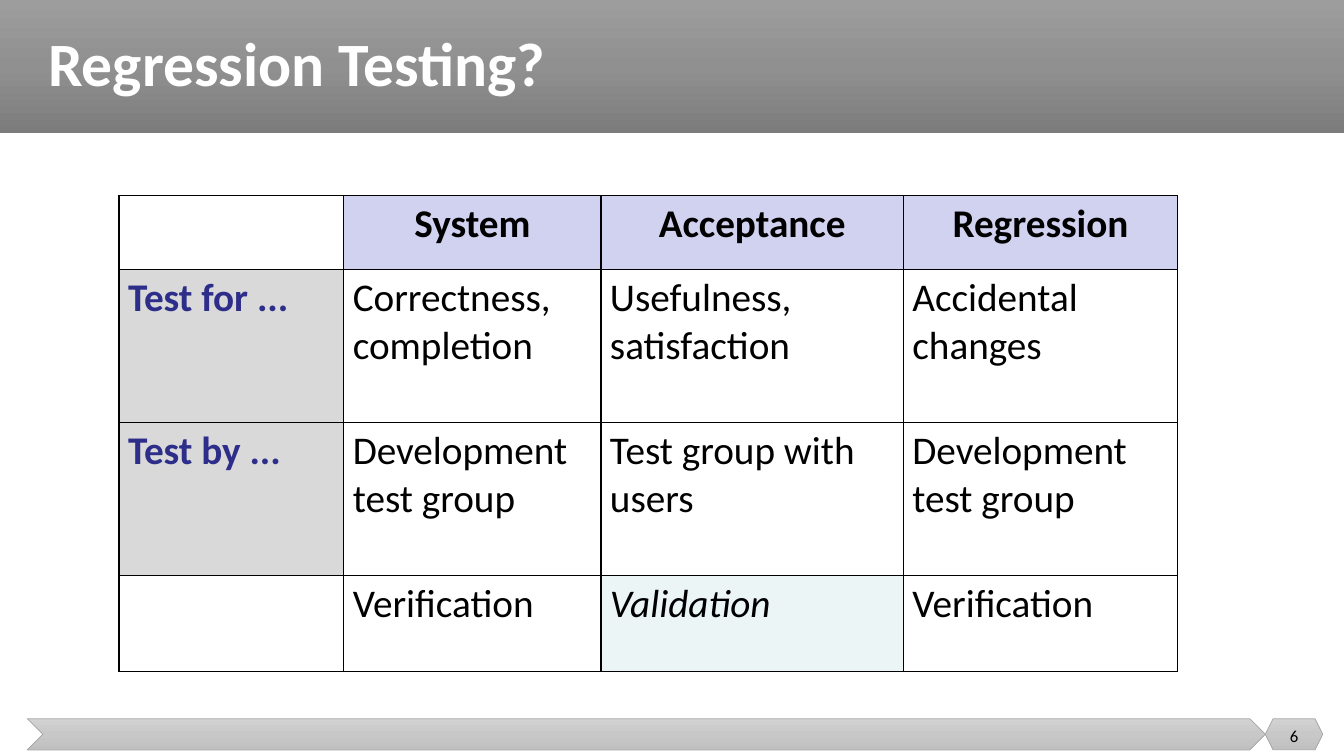
from lxml.etree import SubElement
from pptx import Presentation
from pptx.dml.color import RGBColor
from pptx.enum.shapes import MSO_SHAPE
from pptx.enum.text import MSO_ANCHOR, PP_ALIGN
from pptx.oxml.ns import qn
from pptx.util import Inches, Pt

COLORS = {
    "black": "000000",
    "white": "FFFFFF",
    "outline": "A5A5A5",
    "column_head": "D1D1F0",
    "row_head": "D9D9D9",
    "row_text": "2D2D8A",
    "validation": "DAEDEF",
}
HEADER_GRADIENT = ("9D9D9D", "909090", "7C7C7C")
FOOTER_GRADIENT = ("D2D2D2", "C8C8C8", "C0C0C0")

COLUMN_WIDTHS = (2.23, 2.55, 3, 2.72)
ROW_HEIGHTS = (0.73, 1.52, 1.52, 0.95)
ROWS = (
    ("", "System", "Acceptance", "Regression"),
    ("Test for ...", "Correctness, completion", "Usefulness, satisfaction", "Accidental changes"),
    ("Test by ...", "Development test group", "Test group with users", "Development test group"),
    ("", "Verification", "Validation", "Verification"),
)


class SlideBuilder:
    font_name = "Calibri"

    def __init__(self, slide):
        self.slide = slide

    def styled_run(self, paragraph, text, size, color="black", bold=False, italic=False):
        run = paragraph.add_run()
        run.text = text
        run.font.name = self.font_name
        run.font.size = Pt(size)
        run.font.bold = bold
        run.font.italic = italic
        run.font.color.rgb = RGBColor.from_string(COLORS[color])

    def gradient_shape(self, kind, left, top, width, height, gradient, outlined=True):
        shape = self.slide.shapes.add_shape(
            kind, Inches(left), Inches(top), Inches(width), Inches(height))
        shape.shadow.inherit = False
        shape.fill.gradient()
        shape.fill.gradient_angle = 270
        stops = shape.element.spPr.find(qn("a:gradFill")).find(qn("a:gsLst"))
        for stop in list(stops):
            stops.remove(stop)
        for index, color in enumerate(gradient):
            stop = SubElement(stops, qn("a:gs"), pos=str(index * 50000))
            SubElement(stop, qn("a:srgbClr"), val=color)
        if outlined:
            shape.line.color.rgb = RGBColor.from_string(COLORS["outline"])
            shape.line.width = Pt(0.5)
        else:
            shape.line.fill.background()

    def text_box(self, text, left, top, width, height, size, align=PP_ALIGN.LEFT,
                 line_spacing=1.0, **style):
        box = self.slide.shapes.add_textbox(
            Inches(left), Inches(top), Inches(width), Inches(height))
        frame = box.text_frame
        frame.word_wrap = True
        frame.vertical_anchor = MSO_ANCHOR.MIDDLE
        paragraph = frame.paragraphs[0]
        paragraph.alignment = align
        paragraph.line_spacing = line_spacing
        self.styled_run(paragraph, text, size, **style)

    def cell_borders(self, cell):
        properties = cell._tc.get_or_add_tcPr()
        for index, side in enumerate(("a:lnL", "a:lnR", "a:lnT", "a:lnB")):
            line = properties.makeelement(qn(side), {"w": str(Pt(1))})
            fill = SubElement(line, qn("a:solidFill"))
            SubElement(fill, qn("a:srgbClr"), val=COLORS["black"])
            properties.insert(index, line)

    def cell_fill(self, cell, color, alpha=None):
        if color is None:
            cell.fill.background()
            return
        cell.fill.solid()
        cell.fill.fore_color.rgb = RGBColor.from_string(COLORS[color])
        if alpha:
            color_element = next(cell._tc.tcPr.iter(qn("a:srgbClr")))
            SubElement(color_element, qn("a:alpha"), val=str(alpha * 1000))

    def comparison_table(self, left, top):
        table = self.slide.shapes.add_table(
            len(ROWS), len(COLUMN_WIDTHS), Inches(left), Inches(top),
            Inches(sum(COLUMN_WIDTHS)), Inches(sum(ROW_HEIGHTS))).table
        table.first_row = False
        table.horz_banding = False
        for column, width in zip(table.columns, COLUMN_WIDTHS):
            column.width = Inches(width)
        for row, height in zip(table.rows, ROW_HEIGHTS):
            row.height = Inches(height)
        for row_index, texts in enumerate(ROWS):
            for column_index, text in enumerate(texts):
                self.table_cell(table.cell(row_index, column_index), text,
                                row_index == 0, column_index == 0)

    def table_cell(self, cell, text, in_head_row, in_head_column):
        cell.margin_left = cell.margin_right = Inches(0.09)
        cell.margin_top = cell.margin_bottom = Inches(0.05)
        is_validation = text == "Validation"
        fill = None
        if text and in_head_row:
            fill = "column_head"
        elif text and in_head_column:
            fill = "row_head"
        elif is_validation:
            fill = "validation"
        self.cell_fill(cell, fill, 51 if is_validation else None)
        self.cell_borders(cell)
        if text:
            paragraph = cell.text_frame.paragraphs[0]
            paragraph.alignment = PP_ALIGN.CENTER if in_head_row else PP_ALIGN.LEFT
            self.styled_run(paragraph, text, 28, "row_text" if in_head_column else "black",
                            bold=in_head_row or in_head_column, italic=is_validation)


def main():
    presentation = Presentation()
    presentation.slide_width = Inches(13.33)
    presentation.slide_height = Inches(7.5)
    builder = SlideBuilder(presentation.slides.add_slide(presentation.slide_layouts[6]))

    builder.gradient_shape(MSO_SHAPE.RECTANGLE, 0, 0, 13.33, 1.32, HEADER_GRADIENT, False)
    builder.gradient_shape(MSO_SHAPE.CHEVRON, 0.27, 7.13, 12.28, 0.31, FOOTER_GRADIENT)
    builder.gradient_shape(MSO_SHAPE.HEXAGON, 12.55, 7.13, 0.57, 0.31, FOOTER_GRADIENT)
    builder.text_box("Regression Testing?", 0.38, 0, 12.74, 1.32, 44,
                     line_spacing=0.9, color="white", bold=True)
    builder.comparison_table(1.18, 1.94)
    builder.text_box("6", 12.55, 7.1, 0.57, 0.4, 12, PP_ALIGN.CENTER)

    presentation.save("out.pptx")


if __name__ == "__main__":
    main()
